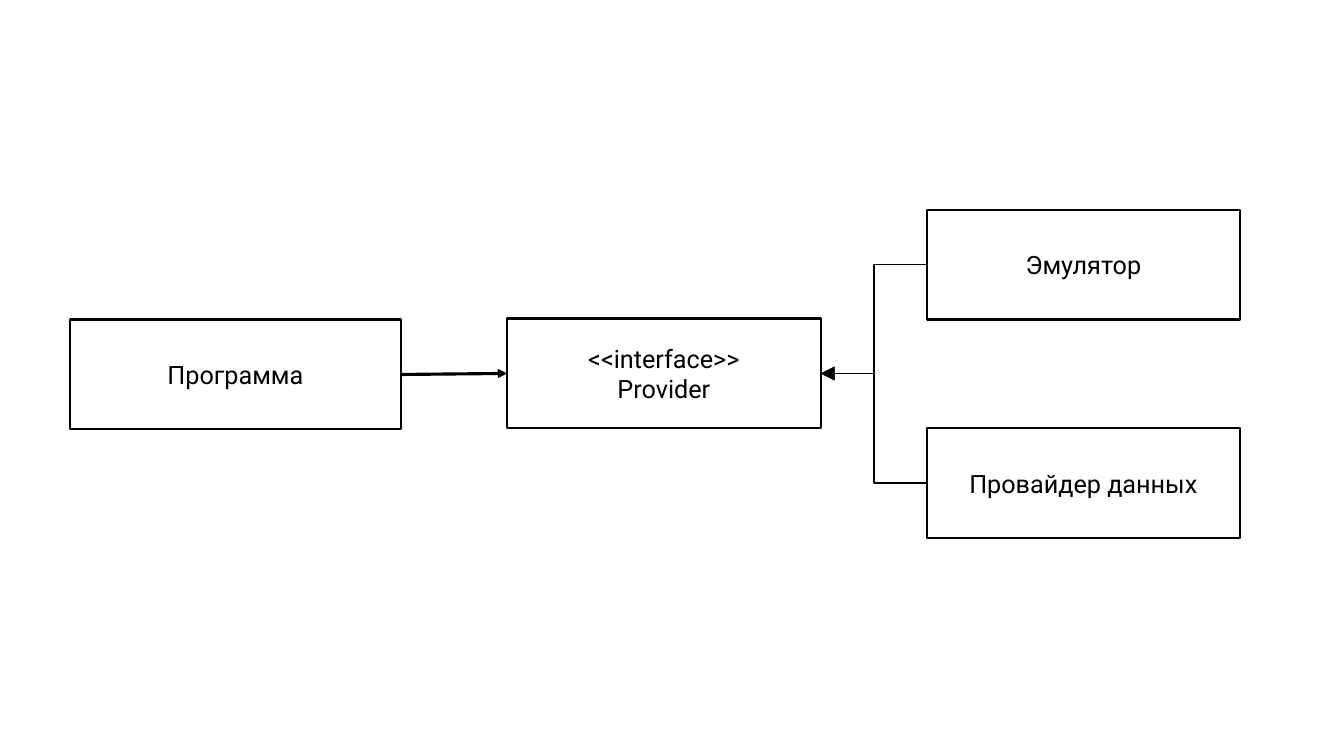
from dataclasses import dataclass

from lxml.etree import SubElement
from pptx import Presentation
from pptx.dml.color import RGBColor
from pptx.enum.shapes import MSO_CONNECTOR, MSO_SHAPE
from pptx.enum.text import MSO_ANCHOR, PP_ALIGN
from pptx.oxml.ns import qn
from pptx.shapes.autoshape import Shape
from pptx.slide import Slide
from pptx.util import Emu, Pt

BLACK = RGBColor(0x00, 0x00, 0x00)
WHITE = RGBColor(0xFF, 0xFF, 0xFF)
FONT = "Roboto"
SCALE = 9144  # EMU per px, 100 px to the inch
HIGH = 109
LEFT_SITE, RIGHT_SITE = 1, 3


@dataclass(frozen=True)
class Box:
    text: str
    left: int
    top: int
    width: int = 311


@dataclass(frozen=True)
class Link:
    start: Box
    start_site: int
    end: Box
    end_site: int
    kind: MSO_CONNECTOR
    weight: float
    head: str


PROGRAM = Box("Программа", 69, 317, 329)
PROVIDER = Box("<<interface>>\nProvider", 503, 316)
EMULATOR = Box("Эмулятор", 919, 208)
DATA = Box("Провайдер данных", 919, 425)
BOXES = (PROGRAM, PROVIDER, EMULATOR, DATA)
LINKS = (
    Link(PROGRAM, RIGHT_SITE, PROVIDER, LEFT_SITE, MSO_CONNECTOR.STRAIGHT, 2.25, "med"),
    *(
        Link(source, LEFT_SITE, PROVIDER, RIGHT_SITE, MSO_CONNECTOR.ELBOW, 1.25, "lg")
        for source in (EMULATOR, DATA)
    ),
)


def px(length: int) -> Emu:
    """Turn px into EMU."""
    return Emu(length * SCALE)


def draw_box(slide: Slide, box: Box) -> Shape:
    shape = slide.shapes.add_shape(
        MSO_SHAPE.RECTANGLE, px(box.left), px(box.top), px(box.width), px(HIGH)
    )
    shape.shadow.inherit = False
    shape.fill.solid()
    shape.fill.fore_color.rgb = WHITE
    shape.line.color.rgb = BLACK
    shape.line.width = Pt(1.5)
    frame = shape.text_frame
    frame.text = box.text
    frame.word_wrap = True
    frame.vertical_anchor = MSO_ANCHOR.MIDDLE
    for line in frame.paragraphs:
        line.alignment = PP_ALIGN.CENTER
        for run in line.runs:
            run.font.name = FONT
            run.font.size = Pt(18)
            run.font.color.rgb = BLACK
    return shape


def draw_link(slide: Slide, link: Link, shapes: dict[Box, Shape]) -> None:
    arrow = slide.shapes.add_connector(link.kind, 0, 0, 0, 0)
    arrow.begin_connect(shapes[link.start], link.start_site)
    arrow.end_connect(shapes[link.end], link.end_site)
    arrow.line.color.rgb = BLACK
    arrow.line.width = Pt(link.weight)
    props = arrow.element.spPr
    SubElement(
        props.find(qn("a:ln")), qn("a:tailEnd"),
        type="triangle", w=link.head, len=link.head,
    )
    SubElement(props, qn("a:effectLst"))


def main() -> None:
    deck = Presentation()
    deck.slide_width, deck.slide_height = px(1333), px(750)
    slide = deck.slides.add_slide(deck.slide_layouts[6])
    shapes = {box: draw_box(slide, box) for box in BOXES}
    for link in LINKS:
        draw_link(slide, link, shapes)
    deck.save("out.pptx")


if __name__ == "__main__":
    main()
